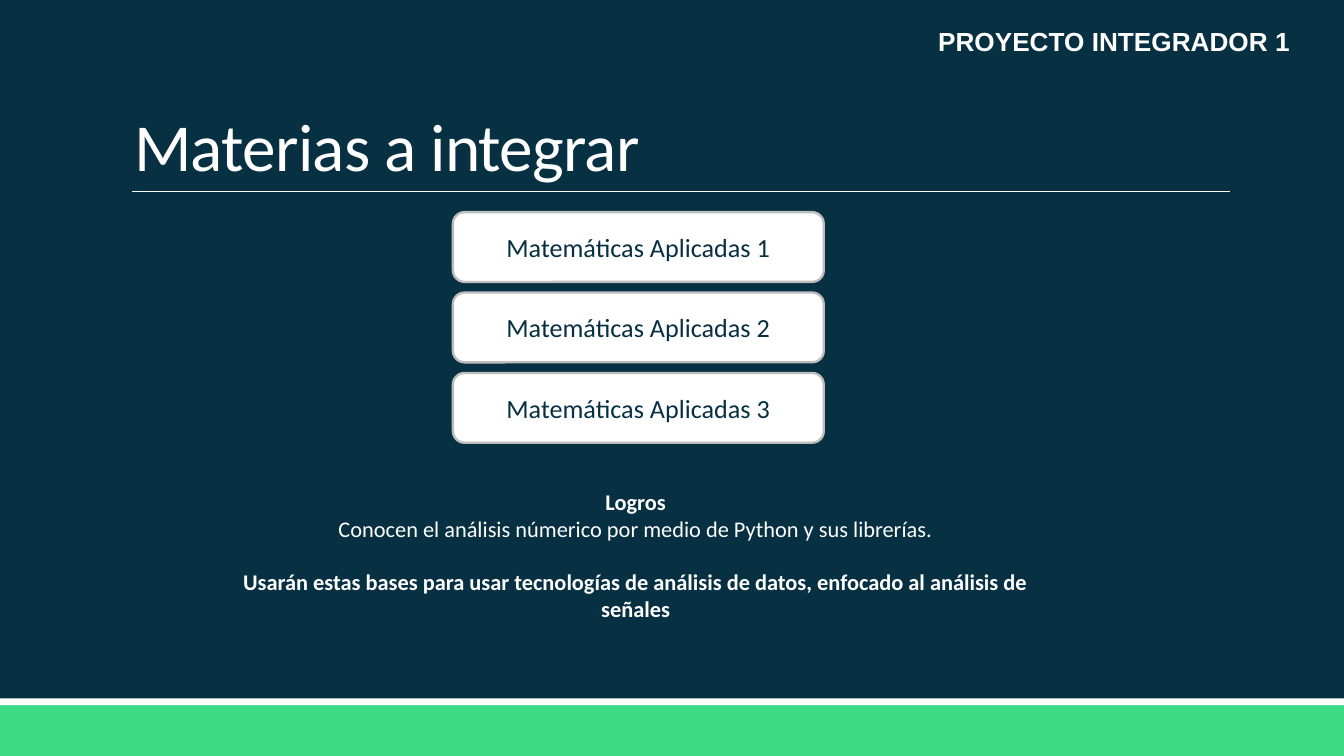
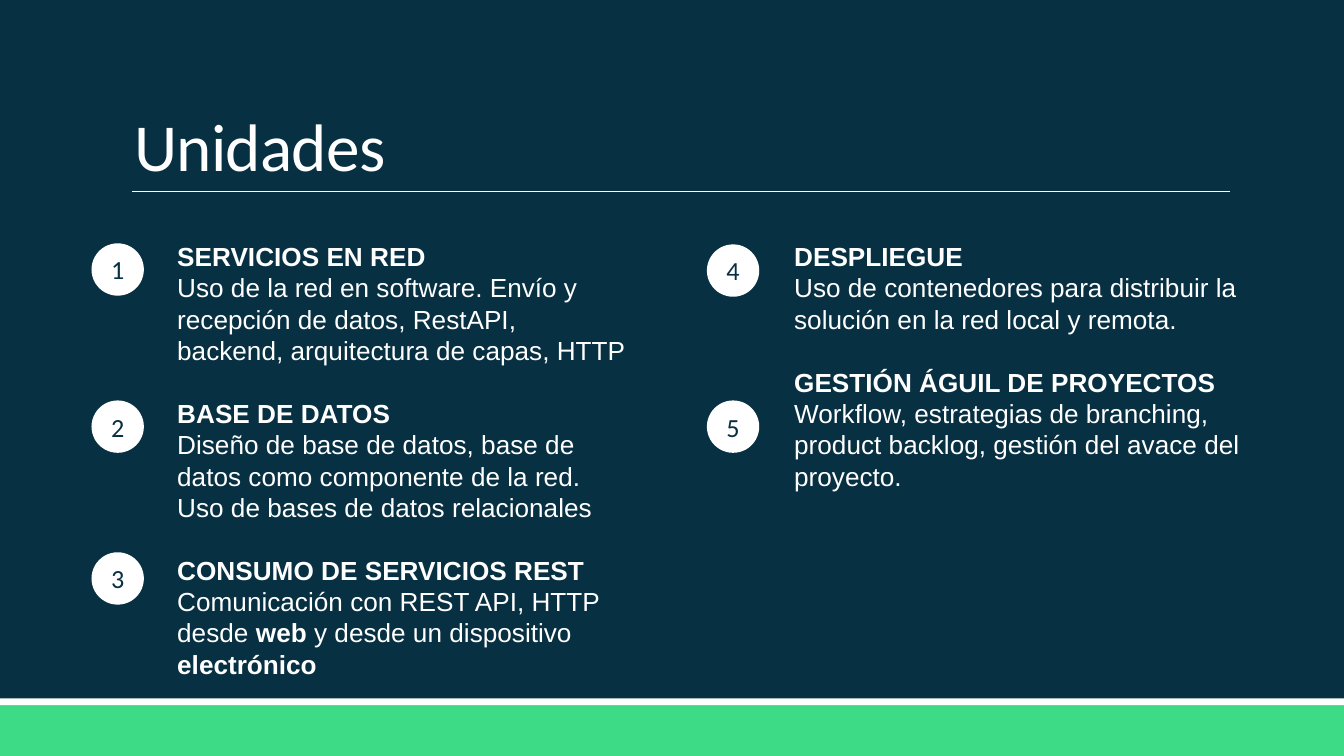
from lxml import etree
from pptx import Presentation
from pptx import util as u
from pptx.dml.color import RGBColor
from pptx.enum import shapes, text
from pptx.oxml.ns import qn

NAVY = RGBColor(0x07, 0x30, 0x42)
GREEN = RGBColor(0x3D, 0xDB, 0x85)
WHITE = RGBColor(0xFF, 0xFF, 0xFF)
GREY = RGBColor(0xBD, 0xBD, 0xBD)

WIDTH, HEIGHT = 25.4, 14.29
LEADING = 1.2  # line pitch as a multiple of the text size
SHAPE = shapes.MSO_SHAPE
CENTER, RIGHT = text.PP_ALIGN.CENTER, text.PP_ALIGN.RIGHT


def set_all(target, values):
    for name, value in values.items():
        setattr(target, name, value)


class SlideWriter:
    """Holds the deck style and the current page."""

    def __init__(self, deck):
        self.deck = deck
        self.page = None

    def start_page(self, title):
        self.page = self.deck.slides.add_slide(self.deck.slide_layouts[6])
        fill = self.page.background.fill
        fill.solid()
        fill.fore_color.rgb = NAVY
        # Footer bands and title rule
        self.shape(SHAPE.RECTANGLE, (0, 13.33, WIDTH, HEIGHT - 13.33), GREEN)
        self.shape(SHAPE.RECTANGLE, (0, 13.2, WIDTH, 0.13), WHITE)
        self.rule(2.49, 23.24, 3.62)
        self.title(title)

    def rule(self, left, right, top):
        line = self.page.shapes.add_connector(
            shapes.MSO_CONNECTOR.STRAIGHT,
            u.Cm(left), u.Cm(top), u.Cm(right), u.Cm(top))
        line.line.color.rgb = WHITE
        line.line.width = u.Pt(0.5)
        etree.SubElement(line._element.spPr, qn("a:effectLst"))

    def shape(self, kind, place, color, label=None, outline=None):
        box = self.page.shapes.add_shape(kind, *map(u.Cm, place))
        box.shadow.inherit = False
        box.fill.solid()
        box.fill.fore_color.rgb = color
        if outline:
            box.line.color.rgb = outline
            box.line.width = u.Pt(1.25)
        else:
            box.line.fill.background()
        if label:
            frame = box.text_frame
            set_all(frame, {"vertical_anchor": text.MSO_ANCHOR.MIDDLE,
                            "margin_left": 0, "margin_right": 0,
                            "margin_top": 0, "margin_bottom": 0})
            para = frame.paragraphs[0]
            para.alignment = CENTER
            self.span(para, label, "Calibri", 14, color=NAVY)

    def span(self, para, words, font, size, bold=False, color=WHITE):
        span = para.add_run()
        span.text = words
        set_all(span.font, {"name": font, "size": u.Pt(size), "bold": bold})
        span.font.color.rgb = color
        return span

    def frame(self, place):
        frame = self.page.shapes.add_textbox(*map(u.Cm, place)).text_frame
        frame.word_wrap = True
        return frame

    def title(self, words):
        frame = self.frame((2.29, 0.61, 20.96, 3.02))
        frame.vertical_anchor = text.MSO_ANCHOR.BOTTOM
        para = frame.paragraphs[0]
        para.line_spacing = 0.85
        span = self.span(para, words, "Calibri", 36)
        span._r.get_or_add_rPr().set("spc", "-40")

    def sections(self, place, sections, font, size, align=None):
        """Write sections one blank line apart; a section is a list of
        paragraphs, each a list of (words, bold)."""
        frame = self.frame(place)
        pitch = u.Pt(size * LEADING)
        para = None
        for section in sections:
            for index, spans in enumerate(section):
                first = para is None
                para = frame.paragraphs[0] if first else frame.add_paragraph()
                set_all(para, {"alignment": align, "line_spacing": pitch})
                if index == 0 and not first:
                    para.space_before = pitch
                for words, bold in spans:
                    self.span(para, words, font, size, bold)


def unit(heading, *spans):
    return [[(heading, True)], list(spans)]


def subjects_page(writer):
    writer.start_page("Materias a integrar")
    writer.sections((9.14, 0.36, 15.49, 0.86),
                    [[[("PROYECTO INTEGRADOR 1", True)]]], "Arial", 14, RIGHT)
    # Achievements
    writer.sections((3.71, 9.1, 16.61, 2.85), [
        unit("Logros", ("Conocen el análisis númerico por medio de Python "
                        "y sus librerías.", False)),
        [[("Usarán estas bases para usar tecnologías de análisis de datos, "
           "enfocado al análisis de señales", True)]],
    ], "Calibri", 12, CENTER)
    # Subject buttons
    for index in range(3):
        writer.shape(SHAPE.ROUNDED_RECTANGLE,
                     (8.56, 4.01 + 1.52 * index, 7.01, 1.32), WHITE,
                     f"Matemáticas Aplicadas {index + 1}", GREY)


def units_page(writer):
    writer.start_page("Unidades")
    left_units = [
        unit("SERVICIOS EN RED",
             ("Uso de la red en software. Envío y recepción de datos, RestAPI, "
              "backend, arquitectura de capas, HTTP", False)),
        unit("BASE DE DATOS",
             ("Diseño de base de datos, base de datos como componente de la "
              "red. Uso de bases de datos relacionales", False)),
        unit("CONSUMO DE SERVICIOS REST",
             ("Comunicación con REST API, HTTP desde ", False), ("web", True),
             (" y desde un dispositivo ", False), ("electrónico", True)),
    ]
    right_units = [
        unit("DESPLIEGUE",
             ("Uso de contenedores para distribuir la solución en la red "
              "local y remota.", False)),
        unit("GESTIÓN ÁGUIL DE PROYECTOS",
             ("Workflow, estrategias de branching, product backlog, gestión "
              "del avace del proyecto.", False)),
    ]
    # Columns of units with their numbered circles
    columns = [(3.1, 9.25, left_units, 1.73, (4.6, 7.57, 10.44)),
               (14.76, 6.25, right_units, 13.36, (4.62, 7.57))]
    number = 0
    for left, height, units, circle_left, circle_tops in columns:
        writer.sections((left, 4.42, 8.99, height), units, "Arial", 14)
        for top in circle_tops:
            number += 1
            writer.shape(SHAPE.OVAL, (circle_left, top, 0.99, 0.99), WHITE,
                         str(number))


def main():
    deck = Presentation()
    set_all(deck, {"slide_width": u.Cm(WIDTH), "slide_height": u.Cm(HEIGHT)})
    writer = SlideWriter(deck)
    subjects_page(writer)
    units_page(writer)
    deck.save("out.pptx")


if __name__ == "__main__":
    main()
